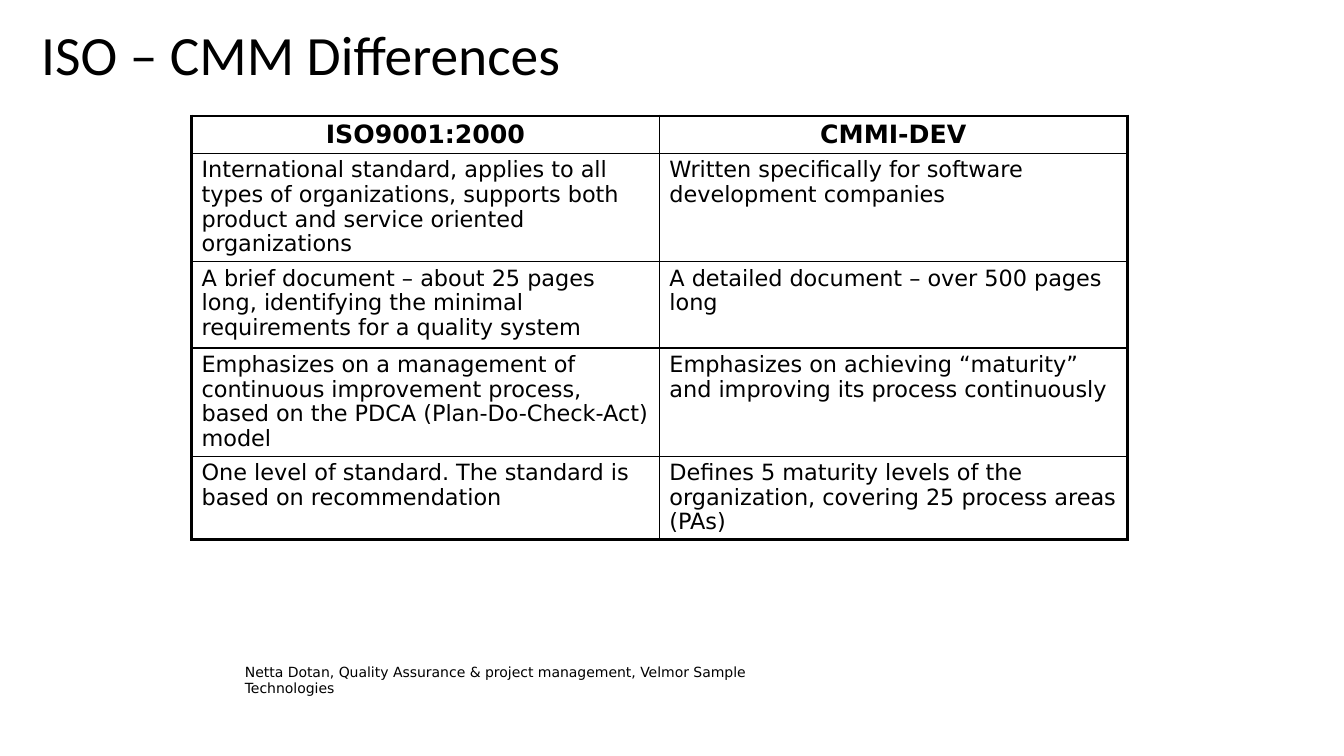
from lxml import etree
from pptx import Presentation, util as u
from pptx.dml.color import RGBColor
from pptx.enum import text
from pptx.oxml import ns

BLACK = RGBColor(0x00, 0x00, 0x00)
WIDTH, HEIGHT = 13.33, 7.5
THICK, THIN = 2.25, 1

TITLE_FONT = {"name": "Calibri", "size": u.Pt(39.6), "bold": False}
HEADER_FONT = {"name": "DejaVu Sans", "size": u.Pt(18), "bold": True}
BODY_FONT = {"name": "DejaVu Sans", "size": u.Pt(16), "bold": False}
CREDIT_FONT = {"name": "DejaVu Sans", "size": u.Pt(10), "bold": False}

ROW_HEIGHTS = [0.37, 1.07, 0.86, 1.07, 0.83]
COMPARISON = [
    ("ISO9001:2000", "CMMI-DEV"),
    ("International standard, applies to all types of organizations, "
     "supports both product and service oriented organizations",
     "Written specifically for software development companies"),
    ("A brief document – about 25 pages long, identifying the minimal "
     "requirements for a quality system",
     "A detailed document – over 500 pages long"),
    ("Emphasizes on a management of continuous improvement process, "
     "based on the PDCA (Plan-Do-Check-Act) model",
     "Emphasizes on achieving “maturity” and improving its process continuously"),
    ("One level of standard. The standard is based on recommendation",
     "Defines 5 maturity levels of the organization, covering 25 process areas (PAs)"),
]


def set_format(target, values):
    for name, value in values.items():
        setattr(target, name, value)


def write(frame, wording, font, **layout):
    """Fill the first paragraph of a text frame."""
    paragraph = frame.paragraphs[0]
    run = paragraph.add_run()
    run.text = wording
    set_format(paragraph, layout)
    set_format(run.font, font)
    run.font.color.rgb = BLACK


def add_text(slide, box, wording, font, frame_format, **layout):
    shape = slide.shapes.add_textbox(*map(u.Inches, box))
    set_format(shape.text_frame, frame_format)
    write(shape.text_frame, wording, font, **layout)


def set_borders(cell, widths):
    properties = cell._tc.get_or_add_tcPr()
    for side in "LRTB":
        line = etree.SubElement(properties, ns.qn(f"a:ln{side}"),
                                w=str(u.Pt(widths[side])))
        fill = etree.SubElement(line, ns.qn("a:solidFill"))
        etree.SubElement(fill, ns.qn("a:srgbClr"), val=str(BLACK))


def add_comparison(slide, box):
    """Two equal columns with a thick outer frame and thin inner rules."""
    last_row, last_column = len(COMPARISON) - 1, len(COMPARISON[0]) - 1
    table = slide.shapes.add_table(last_row + 1, last_column + 1,
                                   *map(u.Inches, box)).table
    set_format(table, {"first_row": False, "horz_banding": False})
    for row, height in zip(table.rows, ROW_HEIGHTS):
        row.height = u.Inches(height)

    for i, wordings in enumerate(COMPARISON):
        header = i == 0
        for j, wording in enumerate(wordings):
            cell = table.cell(i, j)
            outer = {"L": j == 0, "R": j == last_column,
                     "T": header, "B": i == last_row}
            set_borders(cell, {side: THICK if edge else THIN
                               for side, edge in outer.items()})
            cell.fill.background()
            cell.margin_bottom = u.Inches(0.01)
            align = text.PP_ALIGN.CENTER if header else text.PP_ALIGN.LEFT
            write(cell.text_frame, wording,
                  HEADER_FONT if header else BODY_FONT,
                  alignment=align, line_spacing=0.95)


def build_slide(presentation):
    slide = presentation.slides.add_slide(presentation.slide_layouts[6])

    # Title
    add_text(slide, (0.31, 0.2, 12.35, 0.75), "ISO – CMM Differences", TITLE_FONT,
             {"word_wrap": True, "vertical_anchor": text.MSO_ANCHOR.MIDDLE},
             line_spacing=0.9)

    # Comparison table
    add_comparison(slide, (1.9, 1.15, 9.28, sum(ROW_HEIGHTS)))

    # Credit line
    add_text(slide, (2.33, 6.53, 6.05, 0.27),
             "Netta Dotan, Quality Assurance & project management, "
             "Velmor Sample Technologies", CREDIT_FONT,
             {"word_wrap": False, "auto_size": text.MSO_AUTO_SIZE.SHAPE_TO_FIT_TEXT})


def main():
    presentation = Presentation()
    set_format(presentation, {"slide_width": u.Inches(WIDTH),
                              "slide_height": u.Inches(HEIGHT)})
    build_slide(presentation)
    presentation.save("out.pptx")


if __name__ == "__main__":
    main()
